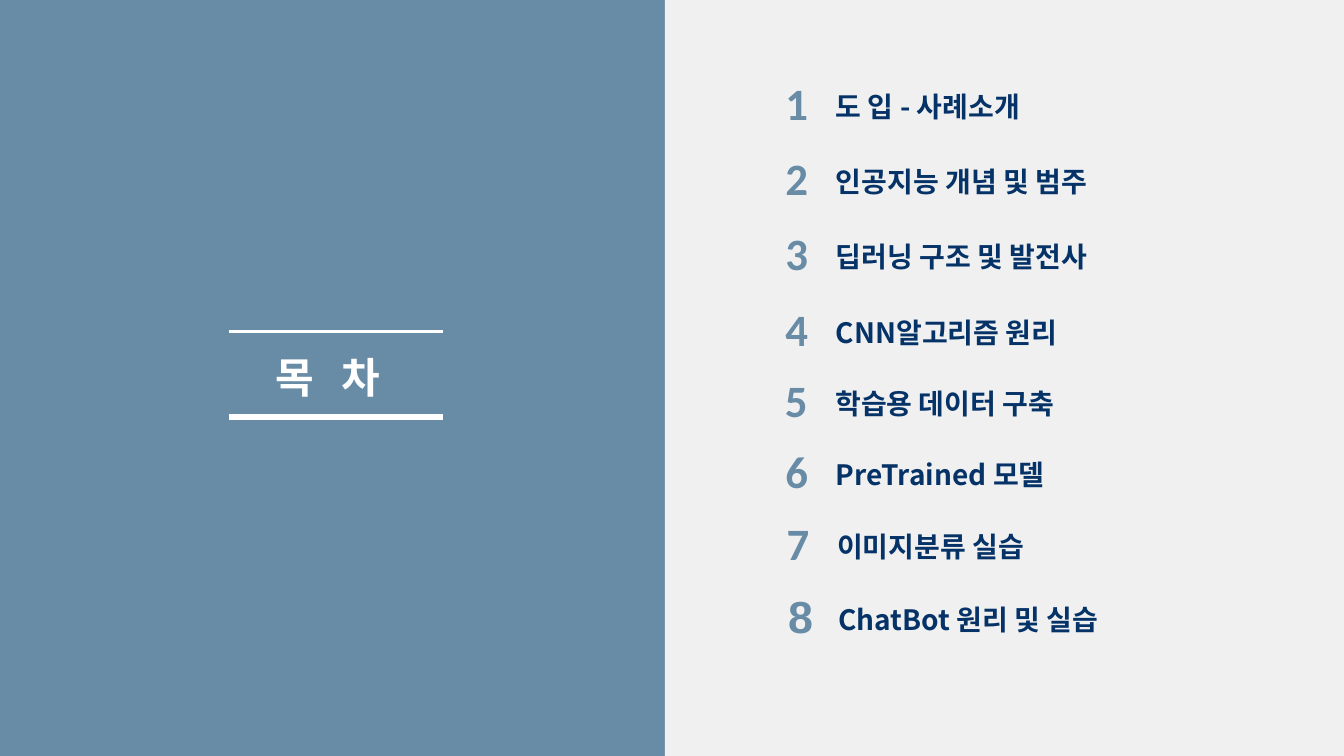
from pptx import Presentation
from pptx.dml.color import RGBColor
from pptx.enum.shapes import MSO_CONNECTOR as Link, MSO_SHAPE as Form
from pptx.enum.text import MSO_AUTO_SIZE as Fit
from pptx.oxml.ns import qn
from pptx.util import Pt
from lxml.etree import SubElement as add_node

BLUE = RGBColor(0x68, 0x8B, 0xA6)
GREY = RGBColor(0xF0, 0xF0, 0xF0)
NAVY = RGBColor(0x05, 0x32, 0x67)
WHITE = RGBColor(0xFF, 0xFF, 0xFF)

WIDE, HIGH, SPLIT = 960, 540, 475
KOREAN = "Noto Sans CJK KR"
TITLE = {"name": KOREAN, "size": Pt(30), "bold": True}
DIGIT = {"name": "Calibri", "size": Pt(32), "bold": True}
TOPIC = {"name": KOREAN, "size": Pt(20), "bold": True}

# Left, top and wording of each entry
ITEMS = [
    (561, 54, "도 입 - 사례소개"),
    (561, 107.8, "인공지능 개념 및 범주"),
    (561, 161.5, "딥러닝 구조 및 발전사"),
    (561, 215.3, "CNN알고리즘 원리"),
    (560.6, 266.2, "학습용 데이터 구축"),
    (561, 317, "PreTrained 모델"),
    (562, 368.5, "이미지분류 실습"),
    (563, 420.3, "ChatBot 원리 및 실습"),
]


def add_panel(slide, left, width, color):
    panel = slide.shapes.add_shape(
        Form.RECTANGLE, Pt(left), Pt(0), Pt(width), Pt(HIGH))
    panel.shadow.inherit = False
    panel.fill.solid()
    panel.fill.fore_color.rgb = color
    panel.line.fill.background()


def add_rule(slide, top, weight):
    rule = slide.shapes.add_connector(
        Link.STRAIGHT, Pt(163.5), Pt(top), Pt(316.2), Pt(top))
    rule.line.color.rgb = WHITE
    rule.line.width = Pt(weight)
    add_node(rule._element.spPr, qn("a:effectLst"))


def add_text(slide, box, text, look, color, gap=0):
    frame = slide.shapes.add_textbox(*map(Pt, box)).text_frame
    margins = dict.fromkeys(
        ("margin_left", "margin_top", "margin_right", "margin_bottom"), 0)
    form = {"word_wrap": True, "auto_size": Fit.SHAPE_TO_FIT_TEXT, **margins}
    for key, value in form.items():
        setattr(frame, key, value)
    run = frame.paragraphs[0].add_run()
    run.text = text
    for key, value in look.items():
        setattr(run.font, key, value)
    run.font.color.rgb = color
    # East Asian font and letter spacing
    props = run._r.get_or_add_rPr()
    add_node(props, qn("a:ea"), typeface=look["name"])
    if gap:
        props.set("spc", str(round(gap * 100)))


def add_item(slide, number, left, top, text):
    look = {**DIGIT, "name": "Arial"} if number == 8 else DIGIT
    add_text(slide, (left, top, 52.5, 39), str(number), look, BLUE)
    add_text(slide, (left + 36, top + 9.8, 359, 24), text, TOPIC, NAVY)


def main():
    deck = Presentation()
    deck.slide_width, deck.slide_height = Pt(WIDE), Pt(HIGH)
    slide = deck.slides.add_slide(deck.slide_layouts[6])

    # Two halves
    add_panel(slide, 0, SPLIT, BLUE)
    add_panel(slide, SPLIT, WIDE - SPLIT, GREY)

    # Title between two rules
    add_text(slide, (196.6, 251.3, 100, 36.7), "목 차", TITLE, WHITE, gap=6.7)
    add_rule(slide, 236.9, 2)
    add_rule(slide, 298, 4.5)

    # Contents
    for number, item in enumerate(ITEMS, 1):
        add_item(slide, number, *item)

    deck.save("out.pptx")


if __name__ == "__main__":
    main()
